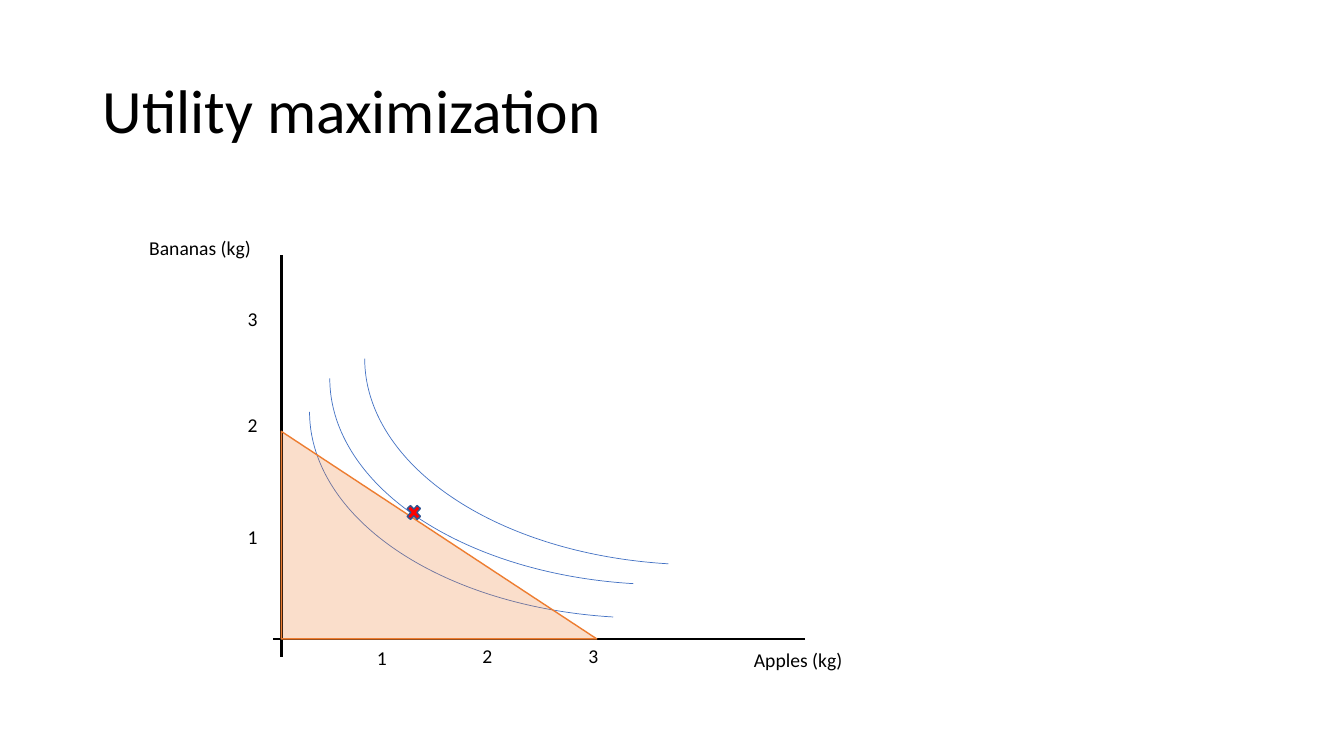
import pptx
import pptx.dml.color
import pptx.enum.shapes
import pptx.enum.text
import pptx.oxml.ns
import pptx.oxml.xmlchemy
import pptx.util
from pptx.util import Cm

RGBColor = pptx.dml.color.RGBColor
MSO_SHAPE = pptx.enum.shapes.MSO_SHAPE
BLACK = RGBColor(0x00, 0x00, 0x00)
BLUE = RGBColor(0x44, 0x72, 0xC4)
DARK_BLUE = RGBColor(0x32, 0x54, 0x91)
ORANGE = RGBColor(0xED, 0x7D, 0x31)
RED = RGBColor(0xFF, 0x00, 0x00)

FONT = "Calibri"
LABEL_HEIGHT = 0.99
LABEL_WIDTH = 6.4
TICK_WIDTH = 0.91
ORIGIN_X, ORIGIN_Y = 7.09, 16.1


def add_text(slide, text, left, top, width, height=LABEL_HEIGHT, *, size=14,
             wrap=True, anchor=pptx.enum.text.MSO_ANCHOR.TOP, line_spacing=1.0):
    shape = slide.shapes.add_textbox(Cm(left), Cm(top), Cm(width), Cm(height))
    frame = shape.text_frame
    frame.word_wrap = wrap
    frame.vertical_anchor = anchor
    paragraph = frame.paragraphs[0]
    paragraph.line_spacing = line_spacing
    run = paragraph.add_run()
    run.text = text
    run.font.name = FONT
    run.font.size = pptx.util.Pt(size)
    run.font.color.rgb = BLACK


def add_axis(slide, start_x, start_y, end_x, end_y):
    axis = slide.shapes.add_connector(
        pptx.enum.shapes.MSO_CONNECTOR.STRAIGHT,
        Cm(start_x), Cm(start_y), Cm(end_x), Cm(end_y))
    axis.line.color.rgb = BLACK
    axis.line.width = pptx.util.Pt(2)
    axis._element.spPr.append(pptx.oxml.xmlchemy.OxmlElement("a:effectLst"))


def add_outlined_shape(slide, kind, left, top, width, height, *, line, weight=1,
                       fill=None, opacity=100):
    """Add a preset shape; opacity is the fill's percentage."""
    shape = slide.shapes.add_shape(kind, Cm(left), Cm(top), Cm(width), Cm(height))
    shape.shadow.inherit = False
    shape.line.color.rgb = line
    shape.line.width = pptx.util.Pt(weight)
    if fill is None:
        shape.fill.background()
        return shape
    shape.fill.solid()
    shape.fill.fore_color.rgb = fill
    if opacity < 100:
        color = shape._element.spPr.find(".//" + pptx.oxml.ns.qn("a:srgbClr"))
        alpha = pptx.oxml.xmlchemy.OxmlElement("a:alpha")
        alpha.set("val", str(opacity * 1000))
        color.append(alpha)
    return shape


def add_indifference_curve(slide, left, top):
    curve = add_outlined_shape(slide, MSO_SHAPE.ARC, left, top, 16.92, 10.39,
                               line=BLUE, weight=0.5)
    curve.rotation = 180
    # Arc angles are stored in 60000ths of a degree: about 279° to 0°.
    curve.adjustments[0] = 167.32
    curve.adjustments[1] = 0


def main():
    presentation = pptx.Presentation()
    presentation.slide_width = Cm(33.87)
    presentation.slide_height = Cm(19.05)
    slide = presentation.slides.add_slide(presentation.slide_layouts[6])

    add_text(slide, "Utility maximization", 2.34, 1.02, 29.21, 3.68, size=44,
             anchor=pptx.enum.text.MSO_ANCHOR.MIDDLE, line_spacing=0.9)

    for left, top in ((7.8, 5.18), (8.31, 4.34), (9.19, 3.84)):
        add_indifference_curve(slide, left, top)

    add_axis(slide, ORIGIN_X, 6.43, ORIGIN_X, 16.56)
    add_axis(slide, 20.29, ORIGIN_Y, 6.88, ORIGIN_Y)
    add_text(slide, "Apples (kg)", 18.75, 16.21, LABEL_WIDTH)
    add_text(slide, "Bananas (kg)", 3.51, 5.82, LABEL_WIDTH)

    apple_ticks = ((9.25, 16.15), (11.91, 16.1), (14.58, 16.1))
    banana_ticks = ((5.99, 13.11), (5.99, 10.29), (5.99, 7.62))
    for ticks in (apple_ticks, banana_ticks):
        for kilograms, (left, top) in enumerate(ticks, start=1):
            add_text(slide, str(kilograms), left, top, TICK_WIDTH, wrap=False)

    budget_height = 5.23
    add_outlined_shape(slide, MSO_SHAPE.RIGHT_TRIANGLE, ORIGIN_X,
                       ORIGIN_Y - budget_height, 7.95, budget_height,
                       line=ORANGE, fill=ORANGE, opacity=25)
    add_outlined_shape(slide, MSO_SHAPE.MATH_MULTIPLY, 10.19, 12.65, 0.48, 0.53,
                       line=DARK_BLUE, fill=RED)

    presentation.save("out.pptx")


if __name__ == "__main__":
    main()
